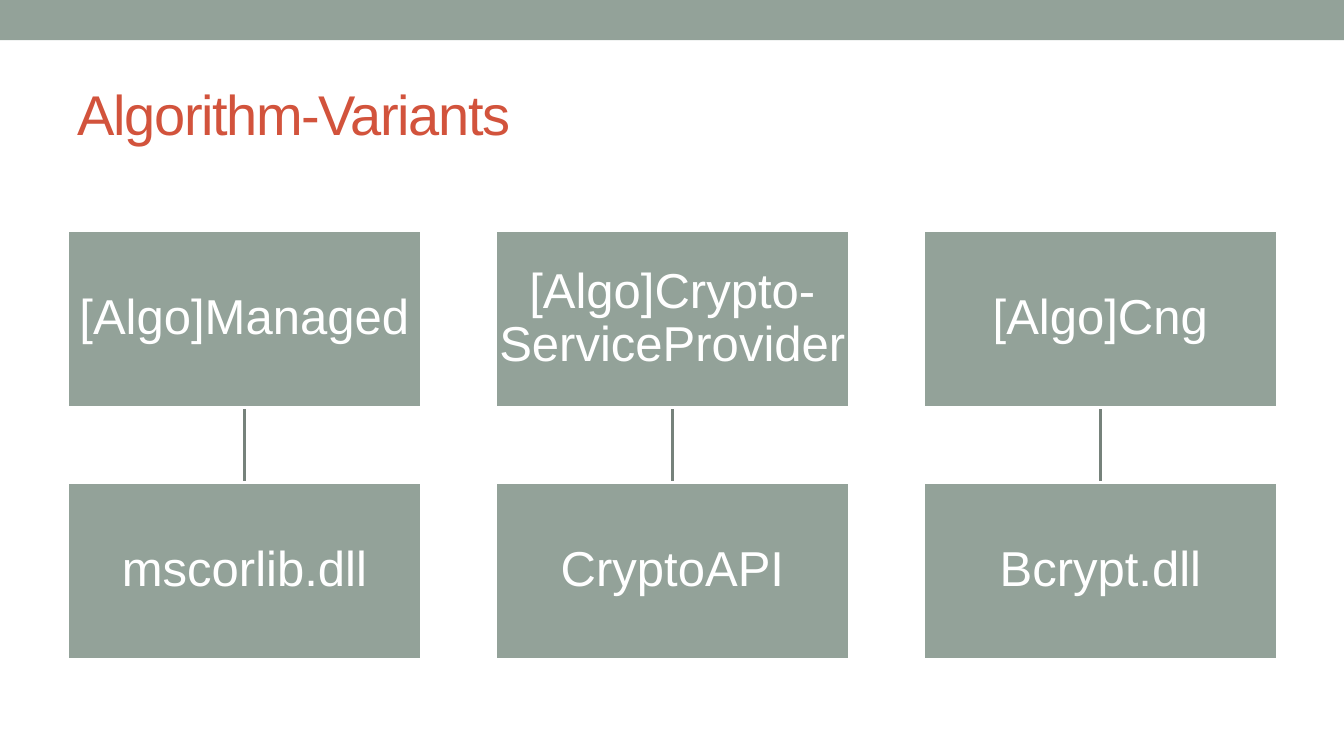
from pptx import Presentation
from pptx.dml.color import RGBColor
from pptx.enum.shapes import MSO_CONNECTOR, MSO_SHAPE
from pptx.enum.text import MSO_ANCHOR, PP_ALIGN
from pptx.oxml.ns import qn
from pptx.util import Inches, Pt
from lxml.etree import SubElement

HEADING = "Algorithm-Variants"
# Class name suffix above, implementing library below
VARIANTS = [
    ("[Algo]Managed", "mscorlib.dll"),
    ("[Algo]Crypto-ServiceProvider", "CryptoAPI"),
    ("[Algo]Cng", "Bcrypt.dll"),
]
COLORS = {"sage": "93A299", "link": "76827B", "heading": "D2533C", "white": "FFFFFF"}
FONT = "Arial"

# Grid in inches
LEFT, COLUMN_STEP = 0.67, 4.245
ROW_TOPS = (2.29, 4.79)
BOX_WIDTH, BOX_HEIGHT = 3.51, 1.75
INSET = Inches(0.02)
LINE_WIDTH = Pt(2.08)


def color(name):
    return RGBColor.from_string(COLORS[name])


def style_text(paragraph, size, color_name, alignment):
    paragraph.alignment = alignment
    paragraph.font.name = FONT
    paragraph.font.size = Pt(size)
    paragraph.font.color.rgb = color(color_name)


def add_rectangle(slide, left, top, width, height):
    rectangle = slide.shapes.add_shape(
        MSO_SHAPE.RECTANGLE, Inches(left), Inches(top), Inches(width), Inches(height))
    rectangle.shadow.inherit = False
    rectangle.fill.solid()
    rectangle.fill.fore_color.rgb = color("sage")
    rectangle.line.fill.background()
    return rectangle


def add_box(slide, left, top, label):
    box = add_rectangle(slide, left, top, BOX_WIDTH, BOX_HEIGHT)
    box.line.color.rgb = color("white")
    box.line.width = LINE_WIDTH
    frame = box.text_frame
    frame.word_wrap = True
    frame.vertical_anchor = MSO_ANCHOR.MIDDLE
    frame.margin_left = frame.margin_right = INSET
    frame.margin_top = frame.margin_bottom = INSET
    frame.text = label
    paragraph = frame.paragraphs[0]
    style_text(paragraph, 35, "white", PP_ALIGN.CENTER)
    paragraph.line_spacing = 0.9
    return box


def add_link(slide):
    link = slide.shapes.add_connector(MSO_CONNECTOR.STRAIGHT, 0, 0, 0, 0)
    link.line.color.rgb = color("link")
    link.line.width = LINE_WIDTH
    SubElement(link._element.spPr, qn("a:effectLst"))
    return link


def main():
    presentation = Presentation()
    presentation.slide_width = Inches(13.33)
    presentation.slide_height = Inches(7.5)
    slide = presentation.slides.add_slide(presentation.slide_layouts[5])

    # Top band
    add_rectangle(slide, 0, 0, 13.33, 0.4)

    # Title
    title = slide.shapes.title
    title.left, title.top = Inches(0.67), Inches(0.58)
    title.width, title.height = Inches(12), Inches(1.08)
    title.text_frame.text = HEADING
    title.text_frame.vertical_anchor = MSO_ANCHOR.MIDDLE
    heading = title.text_frame.paragraphs[0]
    style_text(heading, 40, "heading", PP_ALIGN.LEFT)
    heading.runs[0].font._element.set("spc", "-100")

    # Variant columns, each link lying behind its two boxes
    for column, labels in enumerate(VARIANTS):
        left = LEFT + column * COLUMN_STEP
        link = add_link(slide)
        variant, library = [
            add_box(slide, left, top, label) for top, label in zip(ROW_TOPS, labels)]
        link.begin_connect(variant, 2)
        link.end_connect(library, 0)

    presentation.save("out.pptx")


if __name__ == "__main__":
    main()
